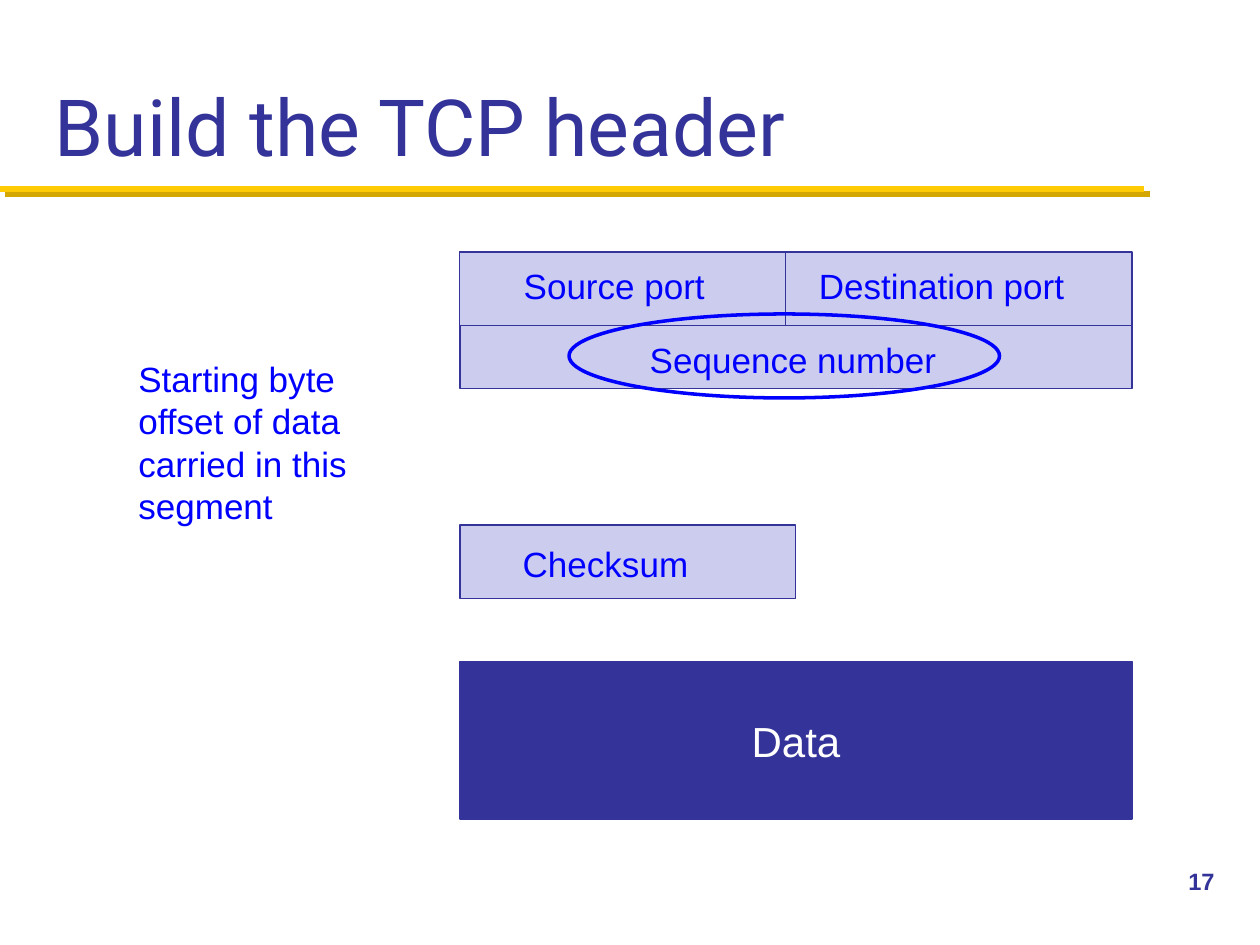
import pptx
import pptx.util
import pptx.dml.color
import pptx.enum.shapes
import pptx.enum.text
import pptx.oxml
import pptx.oxml.ns

RGB = pptx.dml.color.RGBColor
NAVY = RGB(0x33, 0x33, 0x99)
PALE = RGB(0xCC, 0xCC, 0xEE)
BLUE = RGB(0x00, 0x00, 0xFF)
GOLD = RGB(0xFF, 0xCB, 0x05)
WHITE = RGB(0xFF, 0xFF, 0xFF)
KIND = pptx.enum.shapes.MSO_SHAPE
ALIGN = pptx.enum.text.PP_ALIGN
ANCHOR = pptx.enum.text.MSO_ANCHOR
FIT = pptx.enum.text.MSO_AUTO_SIZE
Pt = pptx.util.Pt
COLS, ROWS = 120, 90

deck = pptx.Presentation()
deck.slide_width = pptx.util.Inches(10)
deck.slide_height = pptx.util.Inches(7.5)
page = deck.slides.add_slide(deck.slide_layouts[5])


def place(x, y, w, h):
    col, row = deck.slide_width / COLS, deck.slide_height / ROWS
    return [round(v) for v in (x * col, y * row, w * col, h * row)]


def write(shape, text, size, color, font="Arial", align=ALIGN.LEFT,
          anchor=ANCHOR.TOP, wrap=True, bold=False):
    frame = shape.text_frame
    frame.text = text
    frame.word_wrap = wrap
    frame.auto_size = FIT.NONE
    frame.vertical_anchor = anchor
    para = frame.paragraphs[0]
    para.alignment = align
    para.font.name, para.font.size = font, Pt(size)
    para.font.bold = bold
    para.font.color.rgb = color


def draw(box, fill=None, line=None, width=0.75, kind=KIND.RECTANGLE):
    shape = page.shapes.add_shape(kind, *place(*box))
    shape.shadow.inherit = False
    if fill is None:
        shape.fill.background()
    else:
        shape.fill.solid()
        shape.fill.fore_color.rgb = fill
    if line is None:
        shape.line.fill.background()
    else:
        shape.line.color.rgb = line
        shape.line.width = Pt(width)
    return shape


def field(box, text, dx, dy, wide):
    x, y, w, h = box
    draw(box, PALE, NAVY)
    label = draw((x + dx, y + dy, wide, 5.2), PALE)
    write(label, text, 20, BLUE, wrap=False)


def note(box, text, size, color, bold=False):
    shape = page.shapes.add_textbox(*place(*box))
    write(shape, text, size, color, bold=bold)


def heading(box, text):
    x, y, w, h = box
    left, top, wide, high = place(0, y + h + 1, 109, 0)
    rule = page.shapes.add_connector(
        pptx.enum.shapes.MSO_CONNECTOR.STRAIGHT, left, top, left + wide, top)
    rule.line.color.rgb = GOLD
    rule.line.width = Pt(3.5)
    rule.element.spPr.append(pptx.oxml.parse_xml(
        f'<a:effectLst {pptx.oxml.ns.nsdecls("a")}>'
        f'<a:outerShdw dist="{Pt(4.2)}" dir="2700000" algn="ctr" rotWithShape="0">'
        '<a:srgbClr val="D3A600"/></a:outerShdw></a:effectLst>'))
    title = page.shapes.title
    title.left, title.top, title.width, title.height = place(*box)
    write(title, text, 45, NAVY, "Roboto", anchor=ANCHOR.BOTTOM)


def packet(box):
    x, y, w, h = box
    port = 31
    field((x, y, port, 7), "Source port", 4.9, 0.6, 19.7)
    field((x + port, y, w - port, 7), "Destination port", 2, 0.6, 25.8)
    field((x, y + 7, w, 6), "Sequence number", 16.9, 0.6, 29.6)
    field((x, y + 26, w / 2, 7), "Checksum", 4.8, 1.1, 18.1)
    data = draw((x, y + h - 15, w, 15), NAVY, NAVY)
    write(data, "Data", 24, WHITE, align=ALIGN.CENTER,
          anchor=ANCHOR.MIDDLE, wrap=False)
    draw((x + 10.4, y + 5.9, 41, 8), line=BLUE, width=2, kind=KIND.OVAL)


heading((4, 2, 112, 15), "Build the TCP header")
note((112, 82, 8, 6), "17", 13.5, NAVY, bold=True)
packet((43.8, 24, 64, 54))
note((12, 33.5, 25, 17.4),
     "Starting byte offset of data carried in this segment", 20, BLUE)
deck.save("out.pptx")
